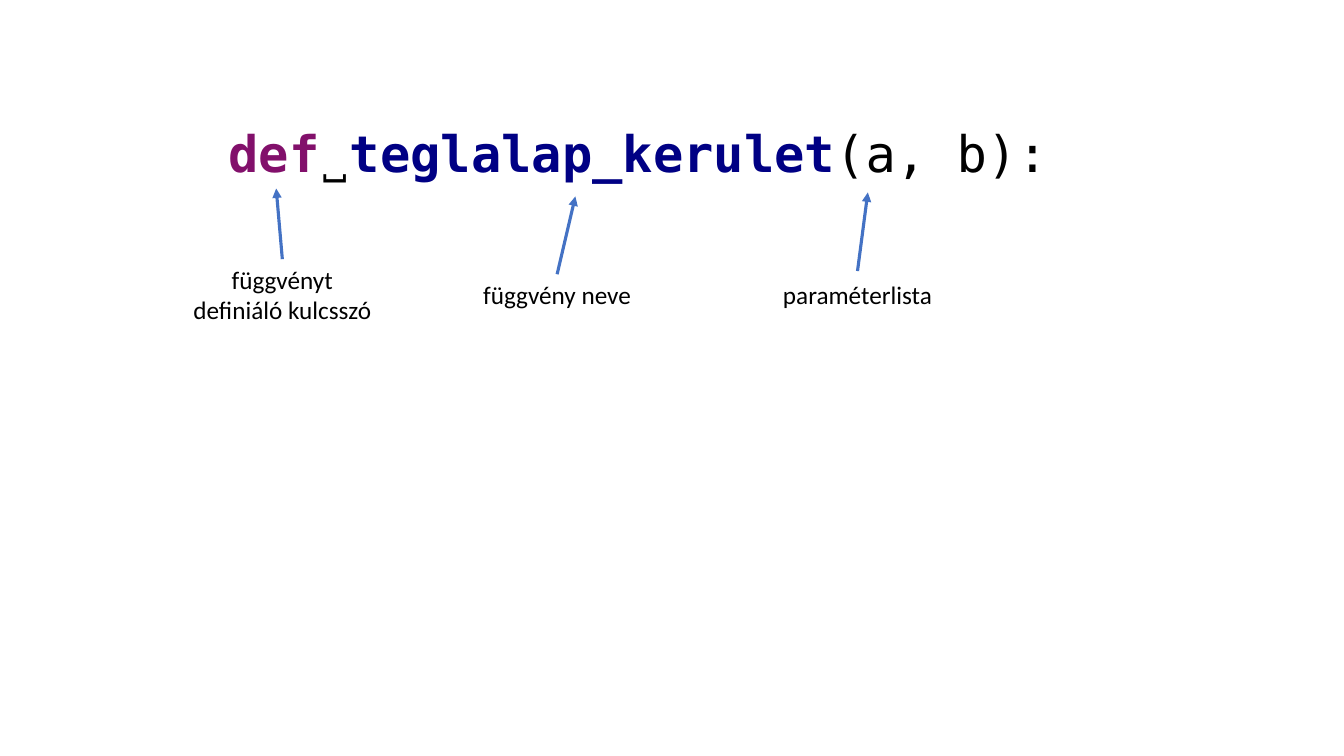
from dataclasses import dataclass

from lxml import etree
from pptx import Presentation
from pptx import util as u
from pptx.dml.color import RGBColor
from pptx.enum import shapes, text
from pptx.oxml.ns import qn


@dataclass(frozen=True)
class Theme:
    keyword: str = "82106B"
    name: str = "000084"
    ink: str = "000000"
    arrow: str = "4472C4"
    code_font: str = "DejaVu Sans Mono"
    label_font: str = "Calibri"
    code_size: float = 36
    label_size: float = 18
    arrow_width: float = 2.25


def add_span(para, words, *, font, size, color, bold=False):
    span = para.add_run()
    span.text = words
    span.font.name = font
    span.font.size = u.Pt(size)
    span.font.bold = bold
    span.font.color.rgb = RGBColor.from_string(color)


class SlideBuilder:
    def __init__(self, page, theme):
        self.page = page
        self.theme = theme

    def text_box(self, left, top, width, height):
        box = self.page.shapes.add_textbox(*map(u.Cm, (left, top, width, height)))
        box.text_frame.word_wrap = True
        box.text_frame.auto_size = text.MSO_AUTO_SIZE.SHAPE_TO_FIT_TEXT
        return box

    def code(self, place, pieces):
        para = self.text_box(*place).text_frame.paragraphs[0]
        for words, color, bold in pieces:
            add_span(para, words, font=self.theme.code_font,
                     size=self.theme.code_size, color=color, bold=bold)

    def label(self, place, lines):
        box = self.text_box(*place)
        frame = box.text_frame
        for index, line in enumerate(lines):
            para = frame.add_paragraph() if index else frame.paragraphs[0]
            para.alignment = text.PP_ALIGN.CENTER
            add_span(para, line, font=self.theme.label_font,
                     size=self.theme.label_size, color=self.theme.ink)
        return box

    def arrow(self, box, tip, gap=0):
        """Point from above the label to the tip; join them if there is no gap."""
        line = self.page.shapes.add_connector(
            shapes.MSO_CONNECTOR.STRAIGHT,
            box.left + box.width // 2, box.top - u.Cm(gap), *map(u.Cm, tip))
        if not gap:
            line.begin_connect(box, 0)
        line.line.color.rgb = RGBColor.from_string(self.theme.arrow)
        line.line.width = u.Pt(self.theme.arrow_width)
        outline = line.line._get_or_add_ln()
        etree.SubElement(outline, qn("a:tailEnd"), type="triangle")
        etree.SubElement(line._element.spPr, qn("a:effectLst"))


def main():
    deck = Presentation()
    deck.slide_width, deck.slide_height = u.Cm(33.87), u.Cm(19.05)
    theme = Theme()
    slide = SlideBuilder(deck.slides.add_slide(deck.slide_layouts[6]), theme)

    # Function header
    slide.code((5.51, 2.95, 21.31, 1.8), [
        ("def", theme.keyword, True),
        ("˽", theme.ink, False),
        ("teglalap_kerulet", theme.name, True),
        ("(a, b):", theme.ink, False),
    ])

    # Labels with arrows: place, lines, arrow tip, gap above the label
    notes = [
        ((4.32, 6.53, 5.59, 1.8), ["függvényt", "definiáló kulcsszó"], (6.96, 4.75), 0),
        ((11.68, 6.91, 4.72, 1.02), ["függvény neve"], (14.5, 4.95), 0),
        ((19.25, 6.91, 4.72, 1.02), ["paraméterlista"], (21.87, 4.85), 0.08),
    ]
    for place, lines, tip, gap in notes:
        slide.arrow(slide.label(place, lines), tip, gap)

    deck.save("out.pptx")


if __name__ == "__main__":
    main()
